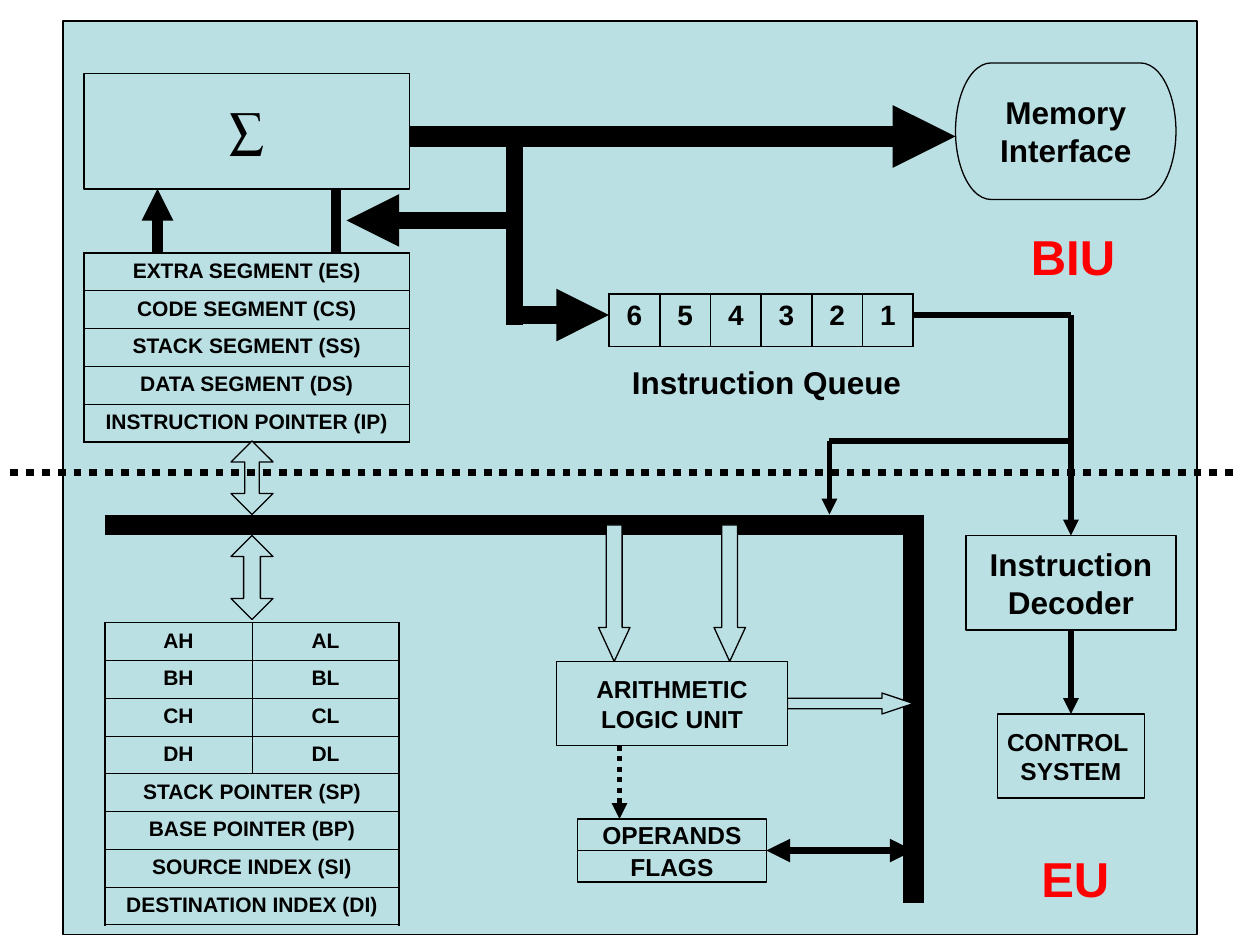
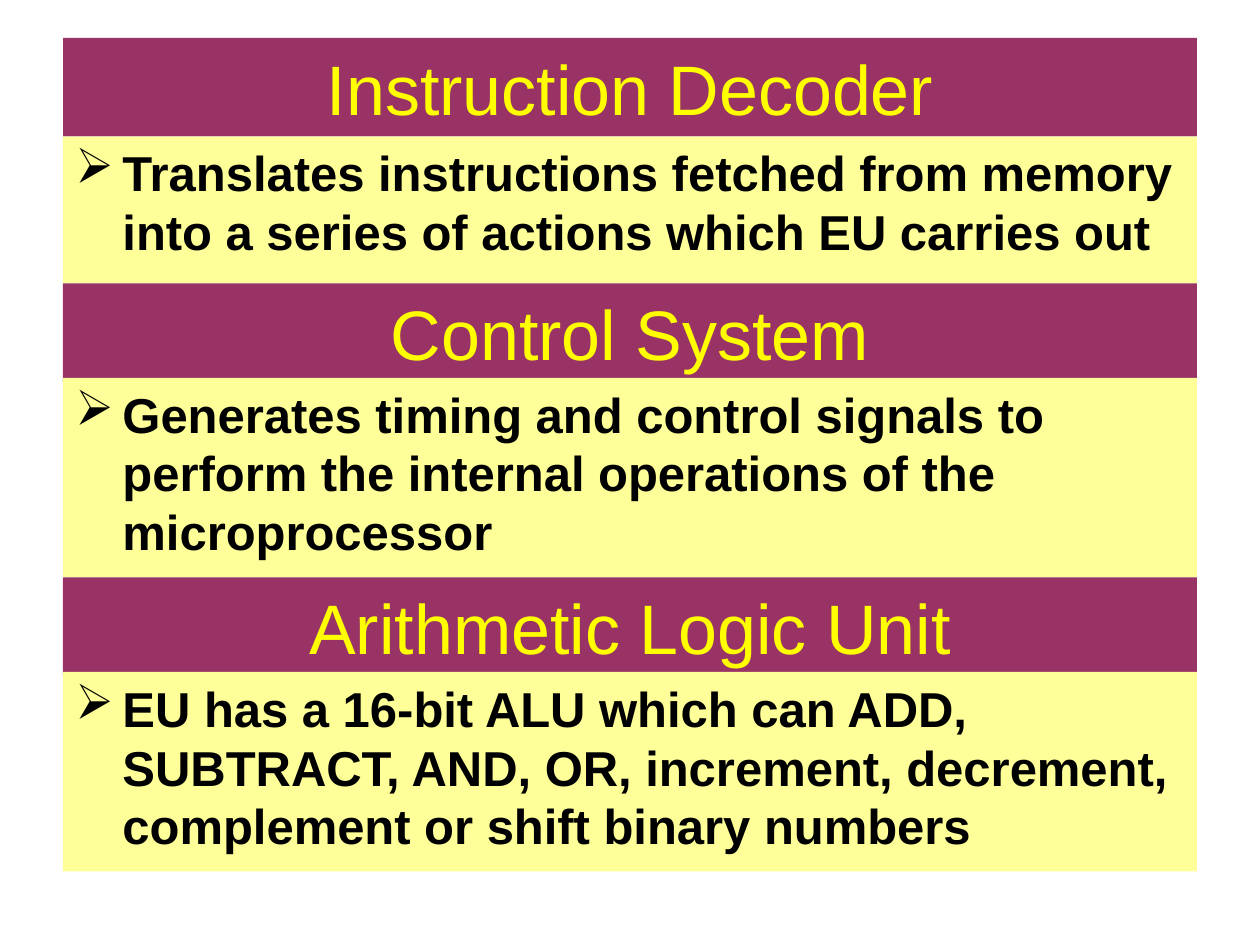
from lxml.etree import SubElement
from pptx import Presentation
from pptx.dml.color import RGBColor
from pptx.enum.dml import MSO_LINE
from pptx.enum.shapes import MSO_CONNECTOR, MSO_SHAPE
from pptx.enum.text import MSO_ANCHOR, MSO_AUTO_SIZE, PP_ALIGN
from pptx.oxml.ns import qn
from pptx.util import Cm, Pt

BLACK, RED, AQUA = "000000", "FF0000", "BBE0E3"
PLUM, YELLOW, CREAM = "993366", "FFFF00", "FFFF99"
FONT = "Arial"
THIN, THICK = 0.45, 1.08

# All places and sizes are in grid units: the slide is 120 wide and 90 high.
PANEL = (6, 2, 108, 87)

# left, top, column width, row height, text size, inner border, rows
TABLES = [
    (10, 59.3, 14, 3.6, 12, THIN, [
        ["AH", "AL"], ["BH", "BL"], ["CH", "CL"], ["DH", "DL"],
        ["STACK POINTER (SP)"], ["BASE POINTER (BP)"],
        ["SOURCE INDEX (SI)"], ["DESTINATION INDEX (DI)"]]),
    (8, 24.1, 31, 3.6, 12, THIN, [
        ["EXTRA SEGMENT (ES)"], ["CODE SEGMENT (CS)"], ["STACK SEGMENT (SS)"],
        ["DATA SEGMENT (DS)"], ["INSTRUCTION POINTER (IP)"]]),
    (58, 28, 4.83, 5, 16, THICK, [["6", "5", "4", "3", "2", "1"]]),
]

# text, shape, place, text size, font
BOXES = [
    ("∑", MSO_SHAPE.RECTANGLE, (8, 7, 31, 11), 28, "TeX Gyre Bonum"),
    ("Memory\nInterface", MSO_SHAPE.FLOWCHART_TERMINATOR, (91, 6, 21, 13), 18, FONT),
    ("Instruction\nDecoder", MSO_SHAPE.RECTANGLE, (92, 51, 20, 9), 18, FONT),
    ("CONTROL \nSYSTEM", MSO_SHAPE.RECTANGLE, (95, 68, 14, 8), 14, FONT),
    ("ARITHMETIC\nLOGIC UNIT", MSO_SHAPE.RECTANGLE, (53, 63, 22, 8), 14, FONT),
    ("OPERANDS", MSO_SHAPE.RECTANGLE, (55, 78, 18, 3), 14, FONT),
    ("FLAGS", MSO_SHAPE.RECTANGLE, (55, 81, 18, 3), 14, FONT),
]

# shape, place, relative head length
BLOCK_ARROWS = [
    (MSO_SHAPE.RIGHT_ARROW, (75, 66, 12, 2), 1.5),
    (MSO_SHAPE.DOWN_ARROW, (57, 50, 3, 13), 1.08),
    (MSO_SHAPE.DOWN_ARROW, (68, 50, 3, 13), 1.08),
    (MSO_SHAPE.UP_DOWN_ARROW, (22, 51, 4, 8), 0.4),
    (MSO_SHAPE.UP_DOWN_ARROW, (22, 42, 4, 7), 0.35),
]

# from, to, width, arrowheads, dotted
BUSES = [
    ((10, 50), (88, 50), 11.5, "", False),
    ((87, 50), (87, 86), 12.25, "", False),
]
WIRES = [
    ((73, 81), (87, 81), 4.5, "head tail", False),
    ((15, 24), (15, 18), 6, "tail", False),
    ((32, 24), (32, 18), 6, "", False),
    ((39, 13), (91, 13), 12, "tail", False),
    ((49, 14), (49, 31), 10, "", False),
    ((49, 30), (58, 30), 10, "tail", False),
    ((33, 21), (49, 21), 10, "head", False),
    ((87, 30), (102, 30), 3, "", False),
    ((102, 30), (102, 51), 3, "tail", False),
    ((79, 42), (102, 42), 3, "", False),
    ((79, 42), (79, 49), 3, "tail", False),
    ((102, 60), (102, 68), 3, "tail", False),
    ((59, 71), (59, 78), 3, "tail", True),
    ((1, 45), (118, 45), 4.5, "", True),
]

# text, place, size, colour
LABELS = [
    ("Instruction Queue", (59, 34, 29, 4.8), 18, BLACK),
    ("BIU", (97, 21, 13, 6.8), 28, RED),
    ("EU", (98, 80.2, 13, 6.8), 28, RED),
]

# heading, its top, description, its top and height
UNITS = [
    ("Instruction Decoder", 3.6,
     "Translates instructions fetched from memory into a series of actions "
     "which EU carries out", 13, 14),
    ("Control System", 27,
     "Generates timing and control signals to perform the internal operations "
     "of the microprocessor", 36, 19),
    ("Arithmetic Logic Unit", 55,
     "EU has a 16-bit ALU which can ADD, SUBTRACT, AND, OR, increment, "
     "decrement, complement or shift binary numbers", 64, 19),
]
BAND_LEFT, BAND_WIDTH, HEADING_HEIGHT = 6, 108, 9.4


def rgb(color):
    return RGBColor.from_string(color)


def grid(*units):
    return [Cm(25.4 / 120 * n) for n in units]


def write(tf, text, size, color=BLACK, bold=True, align=PP_ALIGN.CENTER, font=FONT):
    tf.text = text
    for p in tf.paragraphs:
        p.alignment = align
        for r in p.runs:
            r.font.name, r.font.size, r.font.bold = font, Pt(size), bold
            r.font.color.rgb = rgb(color)


def add_block(slide, kind, place, fill, outlined=True):
    sp = slide.shapes.add_shape(kind, *grid(*place))
    sp.shadow.inherit = False
    sp.fill.solid()
    sp.fill.fore_color.rgb = rgb(fill)
    if outlined:
        sp.line.color.rgb = rgb(BLACK)
        sp.line.width = Pt(0.75)
    else:
        sp.line.fill.background()
    return sp


def add_wire(slide, start, end, width, heads, dotted):
    c = slide.shapes.add_connector(MSO_CONNECTOR.STRAIGHT, *grid(*start, *end))
    c.line.color.rgb = rgb(BLACK)
    c.line.width = Pt(width)
    if dotted:
        c.line.dash_style = MSO_LINE.ROUND_DOT
    spPr = c.element.spPr
    for head in heads.split():
        SubElement(spPr.find(qn("a:ln")), qn(f"a:{head}End"), type="triangle")
    SubElement(spPr, qn("a:effectLst"))


def set_border(cell, side, width):
    ln = SubElement(cell._tc.get_or_add_tcPr(), qn(f"a:ln{side}"), w=str(Pt(width)))
    fill = SubElement(ln, qn("a:solidFill"))
    SubElement(fill, qn("a:srgbClr"), val=BLACK)


def add_grid_table(slide, left, top, col_width, row_height, size, inner, rows):
    """Rows with a single text span all columns; the outer border is thick."""
    n_rows, n_cols = len(rows), max(map(len, rows))
    place = grid(left, top, col_width * n_cols, row_height * n_rows)
    table = slide.shapes.add_table(n_rows, n_cols, *place).table
    table.first_row = table.horz_banding = False
    for i, texts in enumerate(rows):
        table.rows[i].height = grid(row_height)[0]
        merged = len(texts) < n_cols
        if merged:
            table.cell(i, 0).merge(table.cell(i, n_cols - 1))
        for j in range(n_cols):
            cell = table.cell(i, j)
            outer = {"L": j == 0, "R": merged or j == n_cols - 1,
                     "T": i == 0, "B": i == n_rows - 1}
            for side, is_outer in outer.items():
                if not (cell.is_spanned and side == "L"):
                    set_border(cell, side, THICK if is_outer else inner)
            cell.fill.background()
            if j < len(texts):
                write(cell.text_frame, texts[j], size)


def add_bullet(p, char):
    pPr = p._p.get_or_add_pPr()
    pPr.set("marL", str(Cm(0.95)))
    pPr.set("indent", str(-Cm(0.95)))
    SubElement(SubElement(pPr, qn("a:buClr")), qn("a:srgbClr"), val=BLACK)
    SubElement(pPr, qn("a:buChar"), char=char)


def build_architecture(prs):
    slide = prs.slides.add_slide(prs.slide_layouts[6])
    add_block(slide, MSO_SHAPE.RECTANGLE, PANEL, AQUA)
    for table in TABLES:
        add_grid_table(slide, *table)
    for bus in BUSES:
        add_wire(slide, *bus)
    for kind, place, head in BLOCK_ARROWS:
        sp = add_block(slide, kind, place, AQUA)
        sp.adjustments[1] = head
    for text, kind, place, size, font in BOXES:
        tf = add_block(slide, kind, place, AQUA).text_frame
        tf.word_wrap = False
        tf.vertical_anchor = MSO_ANCHOR.MIDDLE
        write(tf, text, size, font=font)
    for wire in WIRES:
        add_wire(slide, *wire)
    for text, place, size, color in LABELS:
        tf = slide.shapes.add_textbox(*grid(*place)).text_frame
        tf.word_wrap = True
        write(tf, text, size, color, align=PP_ALIGN.LEFT)


def build_units(prs):
    slide = prs.slides.add_slide(prs.slide_layouts[5])
    for i, (heading, top, text, text_top, text_height) in enumerate(UNITS):
        place = (BAND_LEFT, top, BAND_WIDTH, HEADING_HEIGHT)
        if i == 0:
            sp = slide.shapes.title
            sp.left, sp.top, sp.width, sp.height = grid(*place)
            sp.fill.solid()
            sp.fill.fore_color.rgb = rgb(PLUM)
        else:
            sp = add_block(slide, MSO_SHAPE.RECTANGLE, place, PLUM, outlined=False)
        tf = sp.text_frame
        tf.auto_size = MSO_AUTO_SIZE.NONE
        tf.vertical_anchor = MSO_ANCHOR.MIDDLE
        write(tf, heading, 40, YELLOW, bold=False)

        place = (BAND_LEFT, text_top, BAND_WIDTH, text_height)
        sp = add_block(slide, MSO_SHAPE.RECTANGLE, place, CREAM, outlined=False)
        tf = sp.text_frame
        tf.vertical_anchor = MSO_ANCHOR.TOP
        write(tf, text, 28, align=PP_ALIGN.LEFT)
        tf.paragraphs[0].space_before = Pt(7)
        add_bullet(tf.paragraphs[0], "➢")


def main():
    prs = Presentation()
    prs.slide_width, prs.slide_height = Cm(25.4), Cm(19.05)
    build_architecture(prs)
    build_units(prs)
    prs.save("out.pptx")


if __name__ == "__main__":
    main()
